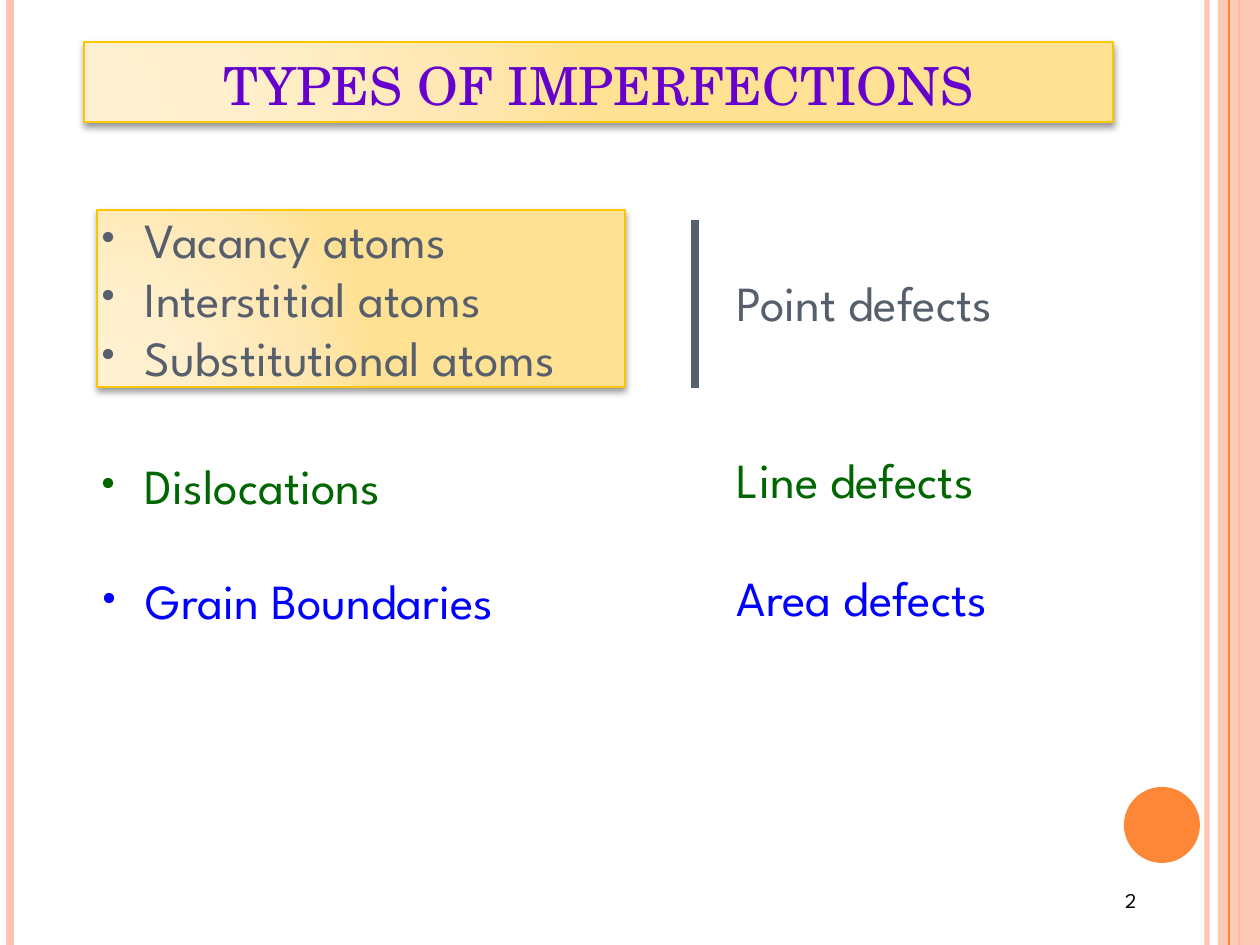
from lxml.etree import SubElement
from pptx import Presentation
from pptx.dml.color import RGBColor
from pptx.enum.shapes import MSO_CONNECTOR, MSO_SHAPE
from pptx.enum.text import MSO_ANCHOR, PP_ALIGN
from pptx.oxml import parse_xml
from pptx.oxml.ns import nsdecls, qn
from pptx.util import Emu, Pt

COLORS = {
    "peach": "FEC3AE", "orange": "FE8637", "gold": "F8C700", "slate": "575F6D",
    "green": "006600", "blue": "0000FF", "purple": "6600CC", "black": "000000",
}
GOLD_GRADIENT = [(0, "FFF0D1"), (30, "FFEFCC"), (75, "FFE7B1"), (100, "FFE193")]
BODY_FONT = "League Spartan"
TITLE_FONT = "TeX Gyre Schola"
BODY_SIZE = 28
LINE_PITCH = 33.6
BULLET_INDENT = 48


def px(length):
    return Emu(round(length * 914400 / 126))


def rgb(name):
    return RGBColor.from_string(COLORS[name])


def set_alpha(color_parent, percent):
    color = next(color_parent.iter(qn("a:srgbClr")))
    SubElement(color, qn("a:alpha"), val=str(percent * 1000))


def add_line(slide, x, top, bottom, color, width, alpha=100):
    line = slide.shapes.add_connector(
        MSO_CONNECTOR.STRAIGHT, px(x), px(top), px(x), px(bottom))
    line.line.color.rgb = rgb(color)
    line.line.width = Pt(width)
    properties = line._element.spPr
    if alpha < 100:
        set_alpha(properties, alpha)
    SubElement(properties, qn("a:effectLst"))


def add_plain_shape(slide, kind, box, color):
    shape = slide.shapes.add_shape(kind, *map(px, box))
    shape.shadow.inherit = False
    shape.fill.solid()
    shape.fill.fore_color.rgb = rgb(color)
    shape.line.fill.background()
    return shape


def add_gold_panel(slide, box):
    """Add a gold-edged rectangle with a radial gradient and a soft shadow."""
    panel = add_plain_shape(slide, MSO_SHAPE.RECTANGLE, box, "gold")
    panel.line.color.rgb = rgb("gold")
    panel.line.width = Pt(1)
    stops = "".join(
        f'<a:gs pos="{position * 1000}"><a:srgbClr val="{color}"/></a:gs>'
        for position, color in GOLD_GRADIENT)
    properties = panel._element.spPr
    properties.replace(properties.find(qn("a:solidFill")), parse_xml(
        f'<a:gradFill {nsdecls("a")}><a:gsLst>{stops}</a:gsLst><a:path path="circle">'
        '<a:fillToRect l="5000" t="100000" r="120000" b="10000"/></a:path></a:gradFill>'))
    shadow = SubElement(
        properties.find(qn("a:effectLst")), qn("a:outerShdw"), blurRad=str(Pt(4)),
        dist=str(Pt(2)), dir="5400000", rotWithShape="0")
    SubElement(shadow, qn("a:srgbClr"), val=COLORS["black"])
    set_alpha(shadow, 40)
    return panel


def write_lines(shape, lines, size=BODY_SIZE, font=BODY_FONT, bulleted=False,
                align=PP_ALIGN.LEFT, anchor=MSO_ANCHOR.TOP):
    """Write (text, color, blank lines above) entries as paragraphs."""
    frame = shape.text_frame
    frame.word_wrap = True
    frame.vertical_anchor = anchor
    frame.margin_left = frame.margin_right = 0
    frame.margin_top = frame.margin_bottom = 0
    for index, (text, color, gap) in enumerate(lines):
        paragraph = frame.paragraphs[0] if index == 0 else frame.add_paragraph()
        paragraph.alignment = align
        if gap:
            paragraph.space_before = Pt(gap * LINE_PITCH)
        if bulleted:
            properties = paragraph._p.get_or_add_pPr()
            properties.set("marL", str(px(BULLET_INDENT)))
            properties.set("indent", str(-px(BULLET_INDENT)))
            SubElement(properties, qn("a:buFont"), typeface=font)
            SubElement(properties, qn("a:buChar"), char="•")
        run = paragraph.add_run()
        run.text = text
        run.font.size = Pt(size)
        run.font.name = font
        run.font.color.rgb = rgb(color)


def add_text(slide, box, lines, **style):
    write_lines(slide.shapes.add_textbox(*map(px, box)), lines, **style)


def add_frame(slide, box):
    left, top, width, height = box
    right, bottom = left + width, top + height
    add_line(slide, right - 53, top, bottom, "peach", 3, alpha=93)
    add_line(slide, left + 10, top, bottom, "peach", 4.5)
    add_line(slide, right - 21, top, bottom, "orange", 1.5)
    band = add_plain_shape(
        slide, MSO_SHAPE.RECTANGLE, (right - 42, top, 42, height), "peach")
    set_alpha(band._element.spPr, 87)
    add_line(slide, right - 31, top, bottom, "orange", 0.75)
    add_plain_shape(slide, MSO_SHAPE.OVAL, (right - 136, bottom - 158, 76, 76), "orange")
    add_text(slide, (right - 135, bottom - 57, 30, 28), [("2", "black", 0)], size=12)


def add_title(slide, box):
    panel = add_gold_panel(slide, box)
    write_lines(panel, [("TYPES OF IMPERFECTIONS", "purple", 0)], size=30,
                font=TITLE_FONT, align=PP_ALIGN.CENTER, anchor=MSO_ANCHOR.BOTTOM)
    panel.text_frame.margin_bottom = px(6)


def add_examples(slide, box):
    left, top, width, height = box
    panel = add_gold_panel(slide, (left, top, width, 177))
    atoms = ("Vacancy atoms", "Interstitial atoms", "Substitutional atoms")
    write_lines(panel, [(atom, "slate", 0) for atom in atoms], bulleted=True)
    add_text(slide, (left, top + 246, width, 59),
             [("Dislocations", "green", 0)], bulleted=True)
    add_text(slide, (left + 1, top + 361, width, 59),
             [("Grain Boundaries", "blue", 0)], bulleted=True)


def add_defect_classes(slide, box):
    left, top, width, height = box
    add_line(slide, left, top, top + 168, "slate", 4.5)
    add_text(slide, (left + 42, top + 53, width - 42, height - 53), [
        ("Point defects", "slate", 0),
        ("Line defects", "green", 2),
        ("Area defects", "blue", 1),
    ])


def main():
    presentation = Presentation()
    presentation.slide_width = px(1260)
    presentation.slide_height = px(945)
    slide = presentation.slides.add_slide(presentation.slide_layouts[6])
    add_frame(slide, (0, 0, 1260, 945))
    add_examples(slide, (97, 210, 528, 420))
    add_defect_classes(slide, (695, 220, 355, 406))
    add_title(slide, (84, 42, 1029, 80))
    presentation.save("out.pptx")


if __name__ == "__main__":
    main()
